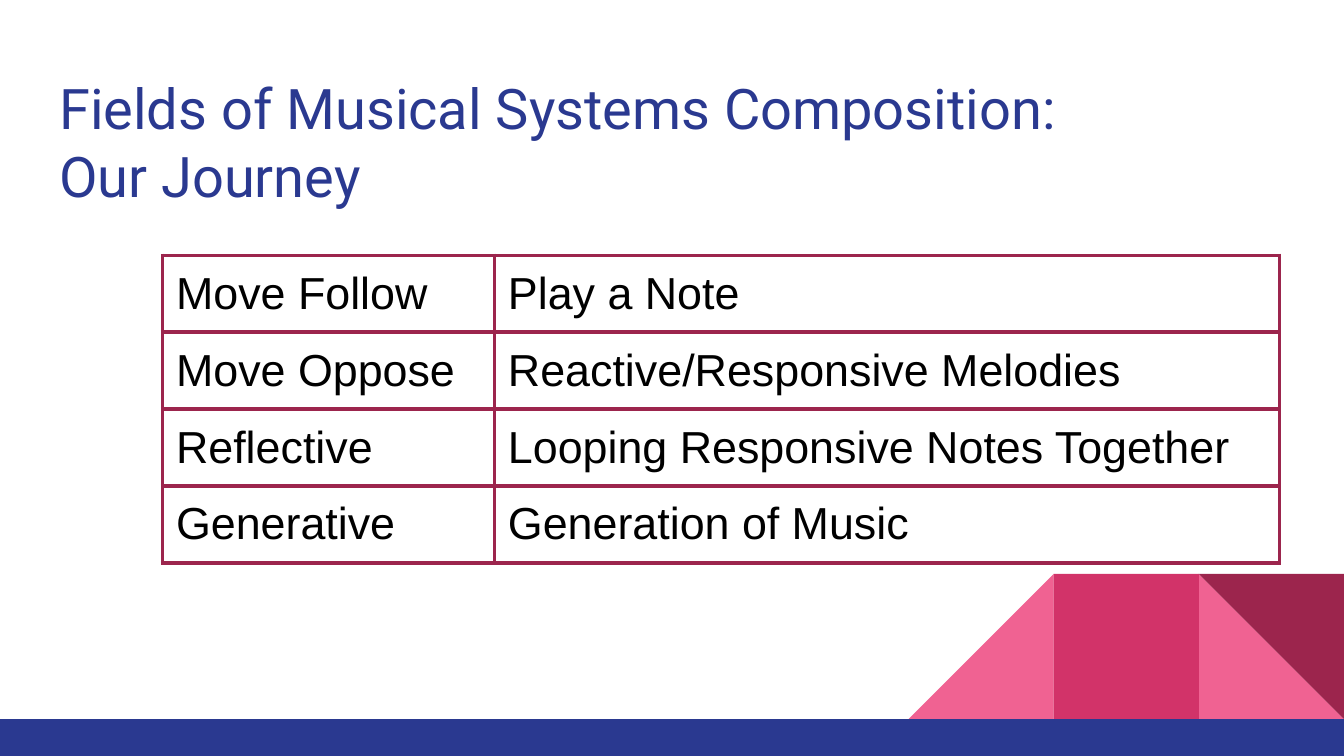
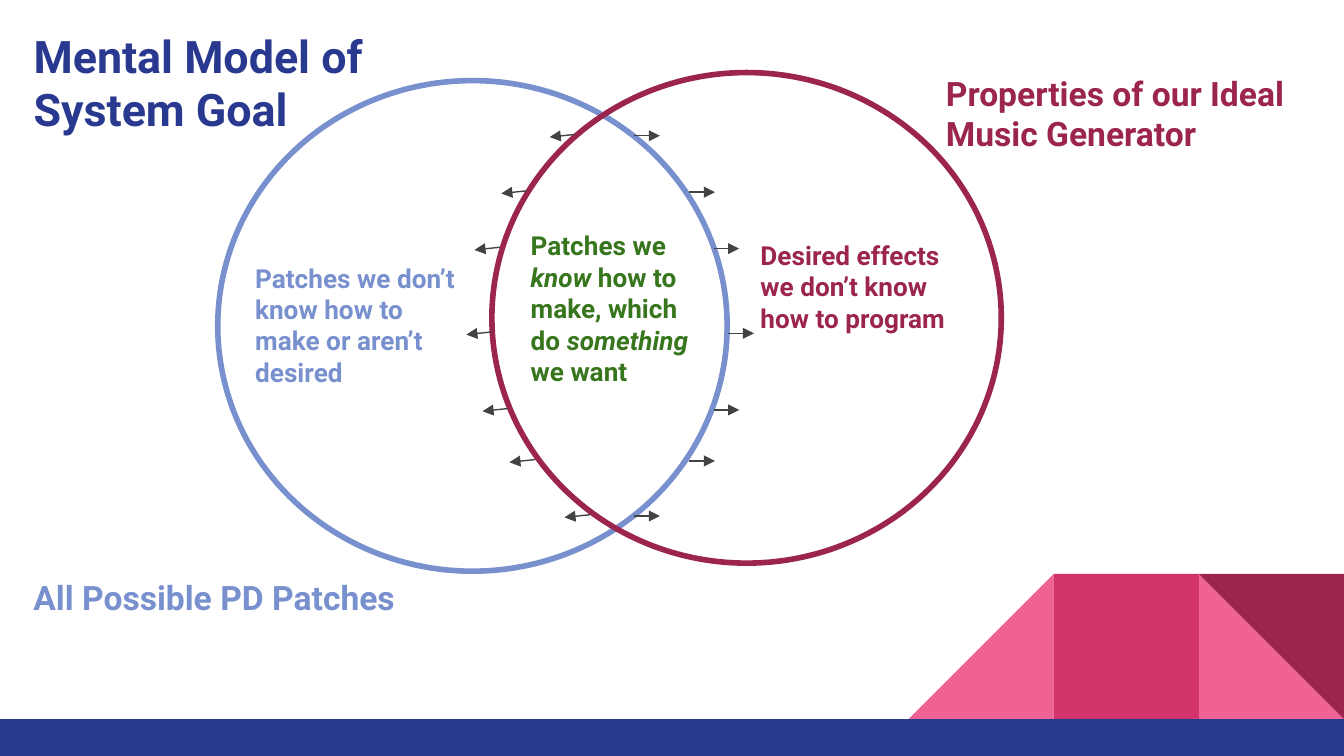
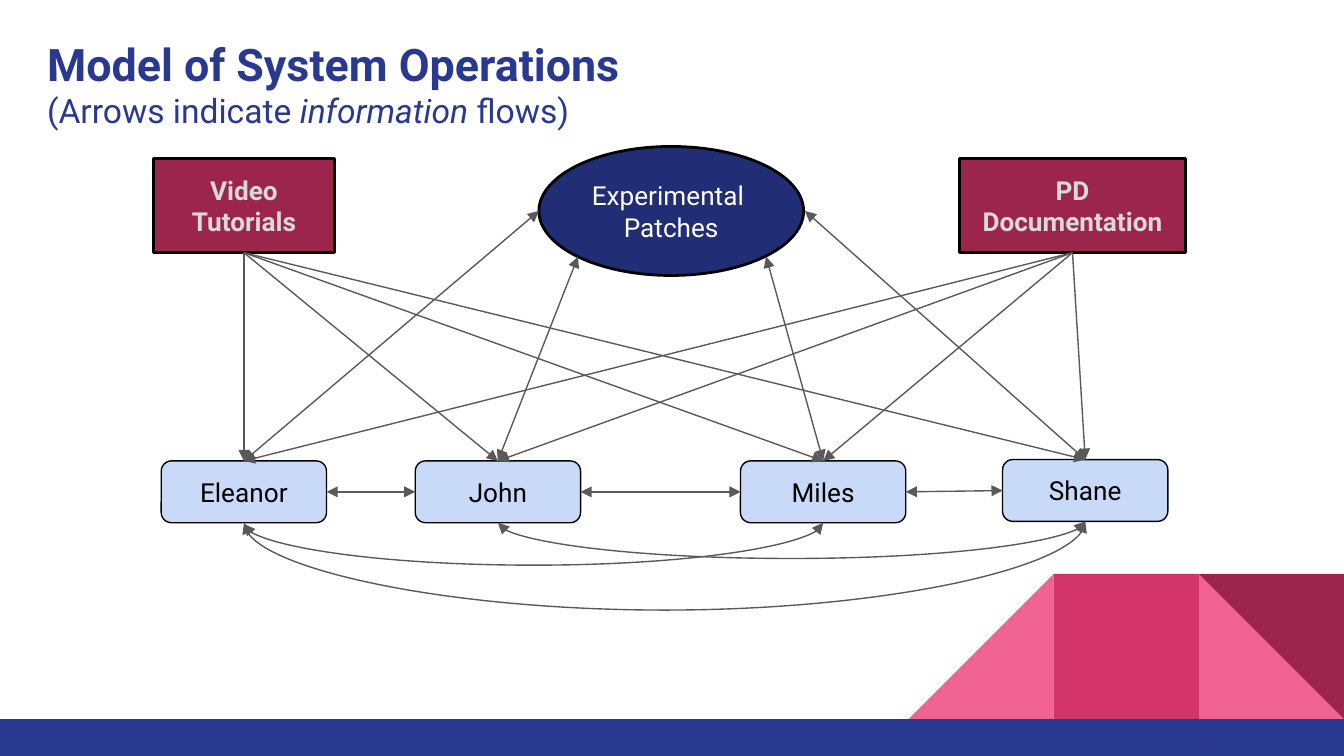
from pptx import Presentation
from pptx.dml.color import RGBColor
from pptx.enum.shapes import MSO_CONNECTOR, MSO_SHAPE
from pptx.enum.text import MSO_ANCHOR, MSO_AUTO_SIZE, PP_ALIGN
from pptx.oxml.ns import qn
from pptx.util import Inches, Pt
from lxml.etree import SubElement

# Shared style
SLIDE_WIDTH = Inches(10)
SLIDE_HEIGHT = SLIDE_WIDTH * 9 // 16
NAVY = RGBColor(0x2A, 0x39, 0x90)
DARK_NAVY = RGBColor(0x21, 0x2D, 0x74)
PERIWINKLE = RGBColor(0x78, 0x90, 0xCD)
PALE_BLUE = RGBColor(0xC9, 0xDA, 0xF8)
WINE = RGBColor(0x9C, 0x25, 0x4D)
RASPBERRY = RGBColor(0xD2, 0x33, 0x69)
PINK = RGBColor(0xF0, 0x62, 0x92)
GREEN = RGBColor(0x38, 0x76, 0x1D)
LIGHT_GRAY = RGBColor(0xD9, 0xD9, 0xD9)
GRAY = RGBColor(0x59, 0x59, 0x59)
DARK_GRAY = RGBColor(0x43, 0x43, 0x43)
BLACK = RGBColor(0, 0, 0)
WHITE = RGBColor(0xFF, 0xFF, 0xFF)
FONT = "Roboto"
INSET = Inches(0.1)
ITALIC = {"italic": True}
SUBTITLE = {"size": Pt(18), "bold": False}

# Footer: triangles and square on a band
TILE, TILE_TOP, TILE_RIGHT, BAND_TOP = 1.08, 4.27, 10, 5.35
FOOTER_TILES = [  # tiles from the right edge, shape, rotation, colour
    (1, MSO_SHAPE.RIGHT_TRIANGLE, 0, PINK),
    (3, MSO_SHAPE.RIGHT_TRIANGLE, 270, PINK),
    (2, MSO_SHAPE.RECTANGLE, 0, RASPBERRY),
    (1, MSO_SHAPE.RIGHT_TRIANGLE, 180, WINE),
]

# Slide 1: a text is a list of paragraphs, each a list of (words, changes) runs
JOURNEY_TITLE = [[("Fields of Musical Systems Composition:", {})], [("Our Journey", {})]]
JOURNEY = [
    ("Move Follow", "Play a Note"),
    ("Move Oppose", "Reactive/Responsive Melodies"),
    ("Reflective", "Looping Responsive Notes Together"),
    ("Generative", "Generation of Music"),
]
JOURNEY_WIDTHS, JOURNEY_ROW = (2.47, 5.84), 0.53

# Slide 2
GOAL_TITLE = [[("Mental Model of System Goal", {})]]
CIRCLES = [((1.62, 0.6, 3.79, 3.65), PERIWINKLE), ((3.66, 0.54, 3.79, 3.65), WINE)]
GOAL_LABELS = [  # place, size, colour, text
    ((0.15, 4.19, 3.06, 0.67), 18, PERIWINKLE, [[("All Possible PD Patches", {})]]),
    ((6.94, 0.44, 3.06, 0.85), 18, WINE,
     [[("Properties of our Ideal", {})], [("Music Generator", {})]]),
    ((1.8, 1.85, 1.81, 1.5), 14, PERIWINKLE,
     [[("Patches we don’t know how to make or aren’t desired", {})]]),
    ((5.56, 1.68, 1.72, 1.38), 14, WINE,
     [[("Desired effects we don’t know how to program", {})]]),
    ((3.85, 1.61, 1.5, 1.65), 14, GREEN,
     [[("Patches we ", {}), ("know", ITALIC), (" how to make, which do ", {}),
       ("something", ITALIC), (" we want", {})]]),
]
GROWTH_ARROWS = [  # height, start of left arrow, start of right arrow
    (1.01, 4.28, 4.72), (1.43, 3.92, 5.13), (1.85, 3.72, 5.31), (2.48, 3.66, 5.42),
    (3.05, 3.78, 5.31), (3.43, 3.98, 5.13), (3.84, 4.39, 4.72),
]
ARROW_LENGTH, ARROW_TILT = 0.19, 0.01

# Slide 3
OPERATIONS_TITLE = [
    [("Model of System Operations", {})],
    [("(Arrows indicate ", SUBTITLE), ("information", {**SUBTITLE, **ITALIC}),
     (" flows)", SUBTITLE)],
]
MEMBERS = [("Eleanor", 1.2, 3.43), ("John", 3.09, 3.43),
           ("Miles", 5.51, 3.43), ("Shane", 7.46, 3.42)]
MEMBER_SIZE = (1.23, 0.46)
SOURCES = [
    ((1.14, 1.18, 1.35, 0.7), [[("Video", {})], [("Tutorials", {})]]),
    ((7.14, 1.18, 1.68, 0.7), [[("PD Documentation", {})]]),
]
PATCHES_PLACE = (4.01, 1.09, 1.97, 0.96)
PATCHES = [[("Experimental ", {})], [("Patches", {})]]
PATCHES_ENDS = [(4.01, 1.57), (4.3, 1.91), (5.7, 1.91), (5.99, 1.57)]
LOOPS = [("Eleanor", "Miles", 0.32), ("Eleanor", "Shane", 0.67), ("John", "Shane", 0.28)]
LOOP_DROP = 0.01


def inches(values):
    return [Inches(value) for value in values]


def write_text(frame, paragraphs, size, color, bold=False, align=PP_ALIGN.LEFT,
               anchor=MSO_ANCHOR.TOP):
    frame.word_wrap = True
    frame.auto_size = MSO_AUTO_SIZE.NONE
    frame.vertical_anchor = anchor
    frame.margin_left = frame.margin_right = INSET
    frame.margin_top = frame.margin_bottom = INSET
    for index, runs in enumerate(paragraphs):
        paragraph = frame.paragraphs[0] if index == 0 else frame.add_paragraph()
        paragraph.alignment = align
        for words, changes in runs:
            run = paragraph.add_run()
            run.text = words
            run.font.name = FONT
            run.font.size = changes.get("size", Pt(size))
            run.font.bold = changes.get("bold", bold)
            run.font.italic = changes.get("italic", False)
            run.font.color.rgb = color


def add_figure(slide, kind, place, fill=None, line=None, width=0):
    figure = slide.shapes.add_shape(kind, *inches(place))
    figure.shadow.inherit = False
    if fill is None:
        figure.fill.background()
    else:
        figure.fill.solid()
        figure.fill.fore_color.rgb = fill
    if line is None:
        figure.line.fill.background()
    else:
        figure.line.color.rgb = line
        figure.line.width = Pt(width)
    return figure


def add_arrow(slide, start, end, color=GRAY, double=False, kind=MSO_CONNECTOR.STRAIGHT):
    arrow = slide.shapes.add_connector(kind, *inches(start + end))
    arrow.line.color.rgb = color
    arrow.line.width = Pt(0.75)
    line = arrow.line._get_or_add_ln()
    for tag in ("a:headEnd", "a:tailEnd") if double else ("a:tailEnd",):
        SubElement(line, qn(tag), type="triangle")
    SubElement(arrow.element.spPr, qn("a:effectLst"))
    return arrow


def join(slide, first, first_side, second, second_side, double=False):
    arrow = add_arrow(slide, (0, 0), (1, 1), double=double)
    arrow.begin_connect(first, first_side)
    arrow.end_connect(second, second_side)


def add_loop(slide, left, right, depth):
    """Curve hanging below two boxes: a narrow connector turned by 90 degrees."""
    start_x, end_x = (box.left.inches + box.width.inches / 2 for box in (right, left))
    bottom = right.top.inches + right.height.inches
    middle, span = (start_x + end_x) / 2, start_x - end_x
    x, y = middle - LOOP_DROP / 2, bottom + LOOP_DROP / 2 - span / 2
    loop = add_arrow(slide, (x, y), (x + LOOP_DROP, y + span), double=True,
                     kind=MSO_CONNECTOR.CURVE)
    properties = loop.element.spPr
    properties.find(qn("a:xfrm")).set("rot", str(90 * 60000))
    geometry = properties.find(qn("a:prstGeom"))
    guides = geometry.find(qn("a:avLst"))
    if guides is None:
        guides = SubElement(geometry, qn("a:avLst"))
    SubElement(guides, qn("a:gd"), name="adj1",
               fmla=f"val {round(depth / LOOP_DROP * 100000)}")


def add_slide(prs, title, place, size, bold=True):
    slide = prs.slides.add_slide(prs.slide_layouts[5])
    heading = slide.shapes.title
    heading.left, heading.top, heading.width, heading.height = inches(place)
    write_text(heading.text_frame, title, size, NAVY, bold)
    return slide


def add_footer(slide):
    """Draw the footer once and hand it to the layout that all slides share."""
    layout = slide.slide_layout
    for placeholder in list(layout.placeholders)[1:]:
        layout.shapes.element.remove(placeholder.element)
    parts = []
    for count, kind, rotation, color in FOOTER_TILES:
        place = (TILE_RIGHT - count * TILE, TILE_TOP, TILE, TILE)
        tile = add_figure(slide, kind, place, color)
        tile.rotation = rotation
        parts.append(tile)
    parts.append(add_figure(slide, MSO_SHAPE.RECTANGLE, (0, BAND_TOP, 10, 0.28), NAVY))
    for part in parts:
        layout.shapes.element.append(part.element)


def border_cell(cell):
    properties = cell._tc.get_or_add_tcPr()
    for index, side in enumerate(("a:lnL", "a:lnR", "a:lnT", "a:lnB")):
        line = SubElement(properties, qn(side), w=str(Pt(2.25)))
        SubElement(SubElement(line, qn("a:solidFill")), qn("a:srgbClr"), val=str(WINE))
        properties.insert(index, line)


def build_journey(prs):
    slide = add_slide(prs, JOURNEY_TITLE, (0.34, 0.45, 9.32, 0.66), 30, bold=False)
    add_footer(slide)
    place = (1.21, 1.9, sum(JOURNEY_WIDTHS), JOURNEY_ROW * len(JOURNEY))
    table = slide.shapes.add_table(len(JOURNEY), 2, *inches(place)).table
    table.first_row = table.horz_banding = False
    for column, width in zip(table.columns, JOURNEY_WIDTHS):
        column.width = Inches(width)
    for row, entries in enumerate(JOURNEY):
        table.rows[row].height = Inches(JOURNEY_ROW)
        for column, words in enumerate(entries):
            cell = table.cell(row, column)
            cell.fill.background()
            cell.margin_left = cell.margin_right = INSET
            cell.margin_top = cell.margin_bottom = INSET
            run = cell.text_frame.paragraphs[0].add_run()
            run.text = words
            run.font.name, run.font.size = "Arial", Pt(24)
            run.font.color.rgb = BLACK
            border_cell(cell)


def build_goal(prs):
    slide = add_slide(prs, GOAL_TITLE, (0.15, 0.11, 3.06, 1.08), 24)
    for place, color in CIRCLES:
        add_figure(slide, MSO_SHAPE.OVAL, place, line=color, width=3)
    for place, size, color, text in GOAL_LABELS:
        label = slide.shapes.add_textbox(*inches(place))
        write_text(label.text_frame, text, size, color, bold=True)
    # Arrows pushing the overlap outwards
    for y, left, right in GROWTH_ARROWS:
        add_arrow(slide, (right, y), (right + ARROW_LENGTH, y), DARK_GRAY)
        add_arrow(slide, (left, y - ARROW_TILT), (left - ARROW_LENGTH, y + ARROW_TILT),
                  DARK_GRAY)


def build_operations(prs):
    slide = add_slide(prs, OPERATIONS_TITLE, (0.25, 0.17, 7.21, 0.96), 24)
    centered = {"align": PP_ALIGN.CENTER, "anchor": MSO_ANCHOR.MIDDLE}
    # Team members, sources and patches
    members = {}
    for name, x, y in MEMBERS:
        member = add_figure(slide, MSO_SHAPE.ROUNDED_RECTANGLE, (x, y) + MEMBER_SIZE,
                            PALE_BLUE, BLACK, 0.75)
        write_text(member.text_frame, [[(name, {})]], 14, BLACK, **centered)
        members[name] = member
    sources = []
    for place, text in SOURCES:
        source = add_figure(slide, MSO_SHAPE.RECTANGLE, place, WINE, BLACK, 1.5)
        write_text(source.text_frame, text, 14, LIGHT_GRAY, bold=True, **centered)
        sources.append(source)
    patches = add_figure(slide, MSO_SHAPE.OVAL, PATCHES_PLACE, DARK_NAVY, BLACK, 1.5)
    write_text(patches.text_frame, PATCHES, 14, WHITE, **centered)
    # Information flows
    team = list(members.values())
    for source in sources:
        for member in team:
            join(slide, source, 2, member, 0)
    for member, end in zip(team, PATCHES_ENDS):
        arrow = add_arrow(slide, (0, 0), end, double=True)
        arrow.begin_connect(member, 0)
    for left, right, depth in LOOPS:
        add_loop(slide, members[left], members[right], depth)
    for left, right in zip(team, team[1:]):
        join(slide, left, 3, right, 1, double=True)


def main():
    prs = Presentation()
    prs.slide_width, prs.slide_height = SLIDE_WIDTH, SLIDE_HEIGHT
    build_journey(prs)
    build_goal(prs)
    build_operations(prs)
    prs.save("out.pptx")


if __name__ == "__main__":
    main()
